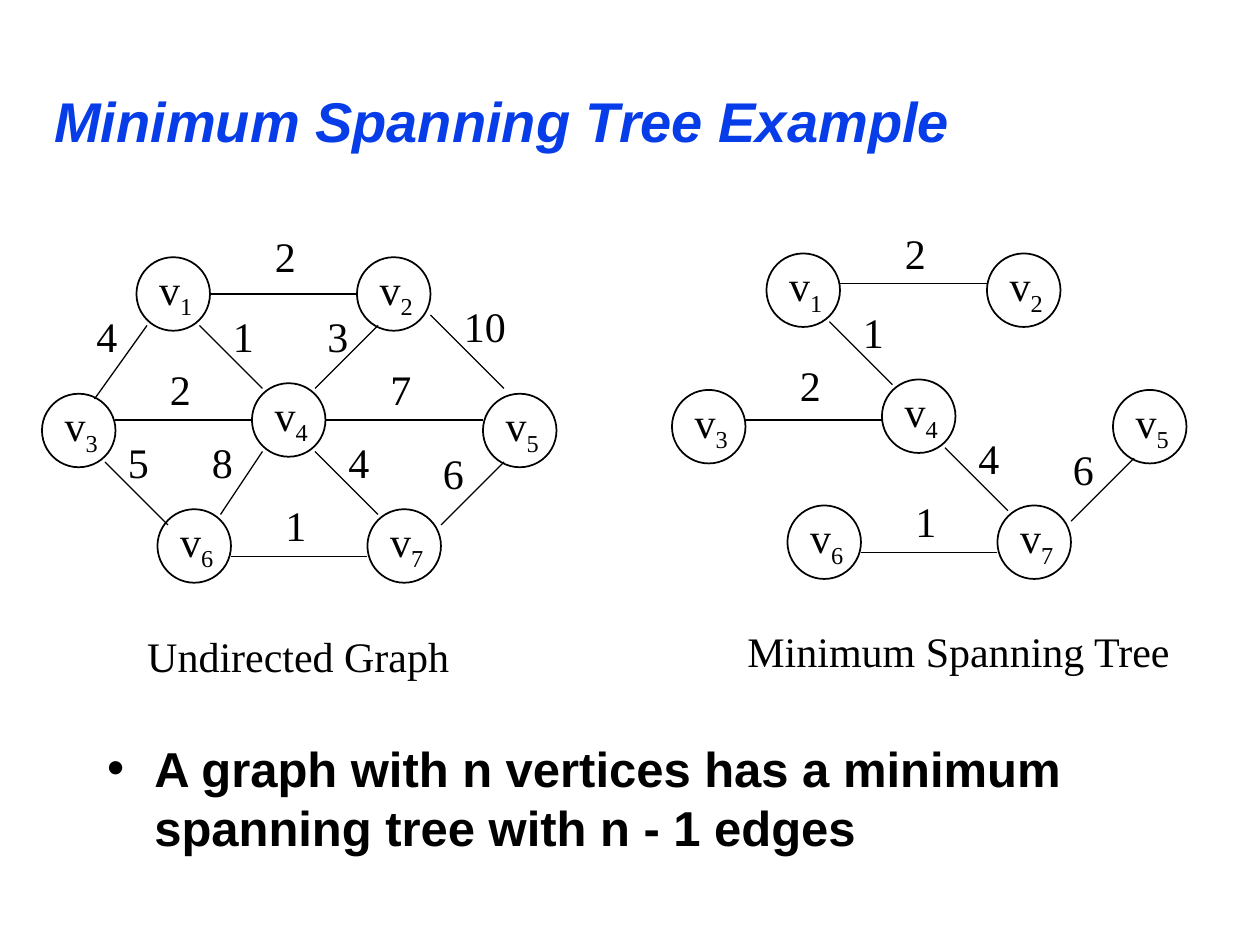
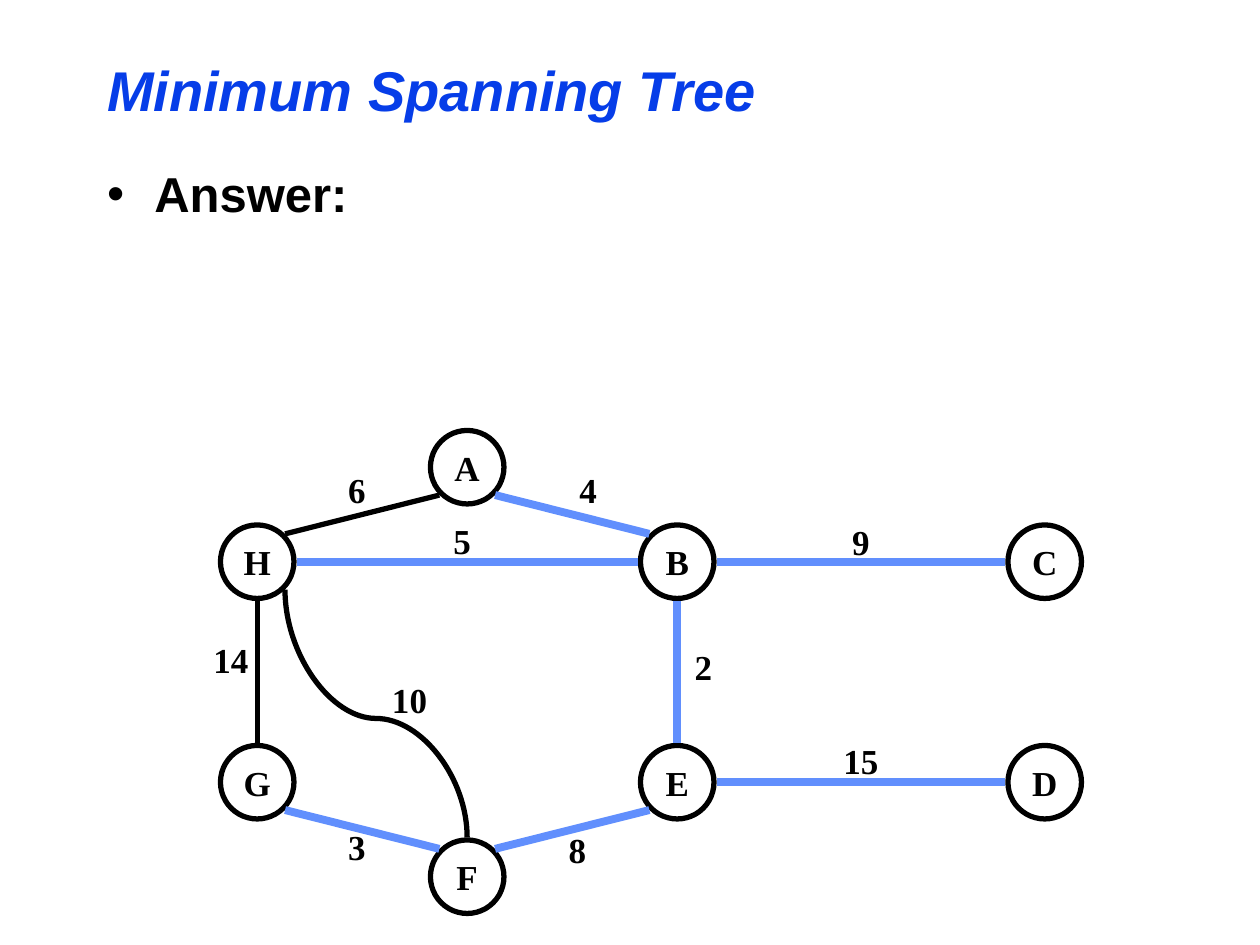
from dataclasses import dataclass
from math import hypot

from lxml import etree
from pptx import Presentation
from pptx.dml.color import RGBColor
from pptx.enum.shapes import MSO_CONNECTOR, MSO_SHAPE
from pptx.enum.text import MSO_ANCHOR, MSO_AUTO_SIZE, PP_ALIGN
from pptx.oxml.ns import qn
from pptx.util import Inches, Pt

STRAIGHT, CURVE = MSO_CONNECTOR.STRAIGHT, MSO_CONNECTOR.CURVE
OVAL = MSO_SHAPE.OVAL
LEFT, CENTER = PP_ALIGN.LEFT, PP_ALIGN.CENTER
MIDDLE = MSO_ANCHOR.MIDDLE
GROW, FIXED = MSO_AUTO_SIZE.SHAPE_TO_FIT_TEXT, MSO_AUTO_SIZE.NONE

BLACK, TITLE_BLUE, TREE_BLUE = "000000", "063DE8", "618FFD"
SANS, SERIF = "Arial", "Times New Roman"
CELLS_PER_INCH = 12  # every column and row is a twelfth of an inch
NODE = 7  # node diameter in cells
RIM_GAP = 0.25

Point = tuple[float, float]


@dataclass(frozen=True)
class Edge:
    """A weighted edge of the undirected graph, in cells."""
    weight: str
    start: Point
    end: Point
    label: Point
    in_tree: bool = False
    tree_shift: float = 0  # extra rows when drawn in the tree


@dataclass(frozen=True)
class Link:
    """A weighted edge between two named nodes; each side is a compass direction."""
    weight: str
    start: str
    start_side: Point
    end: str
    end_side: Point
    label: Point  # centre column, top row
    in_tree: bool = True
    curved: bool = False


VERTICES = {"1": (13, 24.5), "3": (4, 37.5), "2": (34, 24.5), "6": (15, 48.5),
            "4": (24, 36.5), "5": (46, 37.5), "7": (35, 48.5)}
EDGES = [
    Edge("2", (20, 28), (34, 28), (25, 21.4), True, -0.64),
    Edge("10", (41, 30), (48, 37), (43, 28)),
    Edge("1", (19, 31), (25, 37), (21, 29), True),
    Edge("3", (36, 31), (30, 37), (30, 29)),
    Edge("7", (31, 40), (46, 40), (36, 34)),
    Edge("6", (48, 44), (42, 50), (41, 42), True),
    Edge("4", (14, 31), (9, 38), (8, 29)),
    Edge("5", (10, 44), (16, 50), (11, 41)),
    Edge("8", (25, 43), (21, 49), (19, 41)),
    Edge("4", (30, 43), (36, 49), (32, 41), True),
    Edge("1", (22, 53), (35, 53), (26, 47), True),
    Edge("2", (11, 40), (24, 40), (15, 34), True, 0.36),
]
TREE_OFFSET = (60, -0.36)

NODES = {"H": (21, 50), "B": (61, 50), "C": (96, 50), "G": (21, 71),
         "E": (61, 71), "D": (96, 71), "F": (41, 80), "A": (41, 41)}
NORTH, SOUTH, EAST, WEST = (0, -1), (0, 1), (1, 0), (-1, 0)
NORTHEAST, NORTHWEST, SOUTHEAST, SOUTHWEST = (1, -1), (-1, -1), (1, 1), (-1, 1)
LINKS = [
    Link("4", "A", SOUTHEAST, "B", NORTHWEST, (56, 44)),
    Link("6", "A", SOUTHWEST, "H", NORTHEAST, (34, 44), in_tree=False),
    Link("5", "H", EAST, "B", WEST, (44, 48.85)),
    Link("14", "G", NORTH, "H", SOUTH, (22, 60.25), in_tree=False),
    Link("3", "G", SOUTHEAST, "F", NORTHWEST, (34, 78)),
    Link("8", "F", NORTHEAST, "E", SOUTHWEST, (55, 78.35)),
    Link("2", "E", NORTH, "B", SOUTH, (67, 60.85)),
    Link("9", "B", EAST, "C", WEST, (82, 49)),
    Link("15", "E", EAST, "D", WEST, (82, 69.85)),
    Link("10", "F", NORTH, "H", SOUTHEAST, (39, 64), in_tree=False, curved=True),
]


def cells(count: float) -> int:
    return Inches(count / CELLS_PER_INCH)


def color(value: str) -> RGBColor:
    return RGBColor.from_string(value)


def style(para, size: float, face: str, tint: str = BLACK, bold: bool = False,
          italic: bool = False, align=LEFT) -> None:
    para.alignment = align
    font = para.font
    font.size, font.name, font.bold, font.italic = Pt(size), face, bold, italic
    font.color.rgb = color(tint)


def place(box, left: float, top: float, width: float, height: float) -> None:
    """Position a placeholder, in inches."""
    box.left, box.top, box.width, box.height = map(Inches, (left, top, width, height))


def add_page(deck, title: str, title_area: tuple, bullet: str, body_area: tuple):
    page = deck.slides.add_slide(deck.slide_layouts[1])
    heading, body = page.placeholders
    for box, text, area in ((heading, title, title_area), (body, bullet, body_area)):
        place(box, *area)
        box.text_frame.text = text
        box.text_frame.auto_size = FIXED
    heading.text_frame.vertical_anchor = MIDDLE
    style(heading.text_frame.paragraphs[0], 32, SANS, TITLE_BLUE, True, True)
    para = body.text_frame.paragraphs[0]
    para.space_before = Pt(0)
    style(para, 28, SANS, bold=True)
    return page


def add_text(shapes, text: str, left: float, top: float, width: float,
             height: float = 6, **look):
    """Add one unwrapped line of serif text, in cells."""
    box = shapes.add_textbox(*map(cells, (left, top, width, height)))
    frame = box.text_frame
    frame.word_wrap, frame.auto_size = False, GROW
    para = frame.paragraphs[0]
    para.add_run().text = text
    style(para, **{"size": 24, "face": SERIF, **look})
    return box


def add_node(shapes, left: float, top: float, width: float):
    node = shapes.add_shape(OVAL, *map(cells, (left, top, NODE, NODE)))
    node.shadow.inherit = False
    node.fill.background()
    node.line.color.rgb, node.line.width = color(BLACK), Pt(width)
    return node


def add_line(shapes, start: Point, end: Point, width: float, tint: str = BLACK,
             kind=STRAIGHT):
    line = shapes.add_connector(kind, *map(cells, (*start, *end)))
    line.line.color.rgb, line.line.width = color(tint), Pt(width)
    etree.SubElement(line._element.spPr, qn("a:effectLst"))
    return line


def stand_upright(line, bend: float) -> None:
    """Turn a curve that climbs to the left so that it leaves vertically."""
    left, top, width, height = line.left, line.top, line.width, line.height
    line.left = left + (width - height) // 2
    line.top = top + (height - width) // 2
    line.width, line.height = height, width
    frame = line._element.spPr.find(qn("a:xfrm"))
    frame.attrib.pop("flipV", None)
    frame.set("rot", "5400000")
    frame.set("flipH", "1")
    geometry = line._element.spPr.find(qn("a:prstGeom"))
    guides = geometry.find(qn("a:avLst"))
    if guides is None:
        guides = etree.SubElement(geometry, qn("a:avLst"))
    etree.SubElement(guides, qn("a:gd"), name="adj1", fmla=f"val {round(bend * 100000)}")


def draw_vertex_graph(page, tree_only: bool) -> None:
    shapes = page.shapes.add_group_shape().shapes
    across, down = TREE_OFFSET if tree_only else (0, 0)
    for index, (column, row) in VERTICES.items():
        left, top = column + across, row + down
        add_node(shapes, left, top, 1)
        name = add_text(shapes, "v", left, top, 6.75)
        name.text_frame.margin_left = Inches(0.18)
        subscript = name.text_frame.paragraphs[0].add_run()
        subscript.text = index
        subscript._r.get_or_add_rPr().set("baseline", "-25000")
    for edge in EDGES:
        if tree_only and not edge.in_tree:
            continue
        drop = down + (edge.tree_shift if tree_only else 0)
        start, end = ((x + across, y + drop) for x, y in (edge.start, edge.end))
        add_line(shapes, start, end, 0.75)
        column, row = edge.label
        add_text(shapes, edge.weight, column + across, row + down,
                 2.4 + 2 * len(edge.weight))


def rim(name: str, side: Point) -> Point:
    """Return the point just outside a node on the given side."""
    (left, top), (x, y) = NODES[name], side
    reach = (NODE / 2 + RIM_GAP) / hypot(x, y)
    return left + NODE / 2 + x * reach, top + NODE / 2 + y * reach


def draw_answer_graph(page) -> None:
    for name, (left, top) in NODES.items():
        frame = add_node(page.shapes, left, top, 3).text_frame
        frame.text, frame.word_wrap, frame.vertical_anchor = name, False, MIDDLE
        style(frame.paragraphs[0], 20, SERIF, bold=True, align=CENTER)
    for link in LINKS:
        width, tint = (4.5, TREE_BLUE) if link.in_tree else (3, BLACK)
        line = add_line(page.shapes, rim(link.start, link.start_side),
                        rim(link.end, link.end_side), width, tint,
                        CURVE if link.curved else STRAIGHT)
        if link.curved:
            stand_upright(line, 0.48)
    for link in LINKS:
        center, top = link.label
        box_width = 2.4 + 1.67 * len(link.weight)
        add_text(page.shapes, link.weight, center - box_width / 2, top, box_width, 5.2,
                 size=20, bold=True, align=CENTER)


def main() -> None:
    deck = Presentation()
    deck.slide_width, deck.slide_height = Inches(10), Inches(7.5)

    example = add_page(deck, "Minimum Spanning Tree Example", (0.33, 0.33, 8.92, 1.25),
                       "A graph with n vertices has a minimum spanning tree with n - 1 edges",
                       (0.75, 5.81, 8.58, 1.44))
    for tree_only in (False, True):
        draw_vertex_graph(example, tree_only)
    add_text(example.shapes, "Undirected Graph", 12.84, 59.5, 31.2)
    add_text(example.shapes, "Minimum Spanning Tree", 70, 59, 42.84)

    answer = add_page(deck, "Minimum Spanning Tree", (0.75, 0.33, 8.5, 0.75),
                      "Answer:", (0.75, 1.25, 8.58, 6))
    draw_answer_graph(answer)
    deck.save("out.pptx")


if __name__ == "__main__":
    main()
